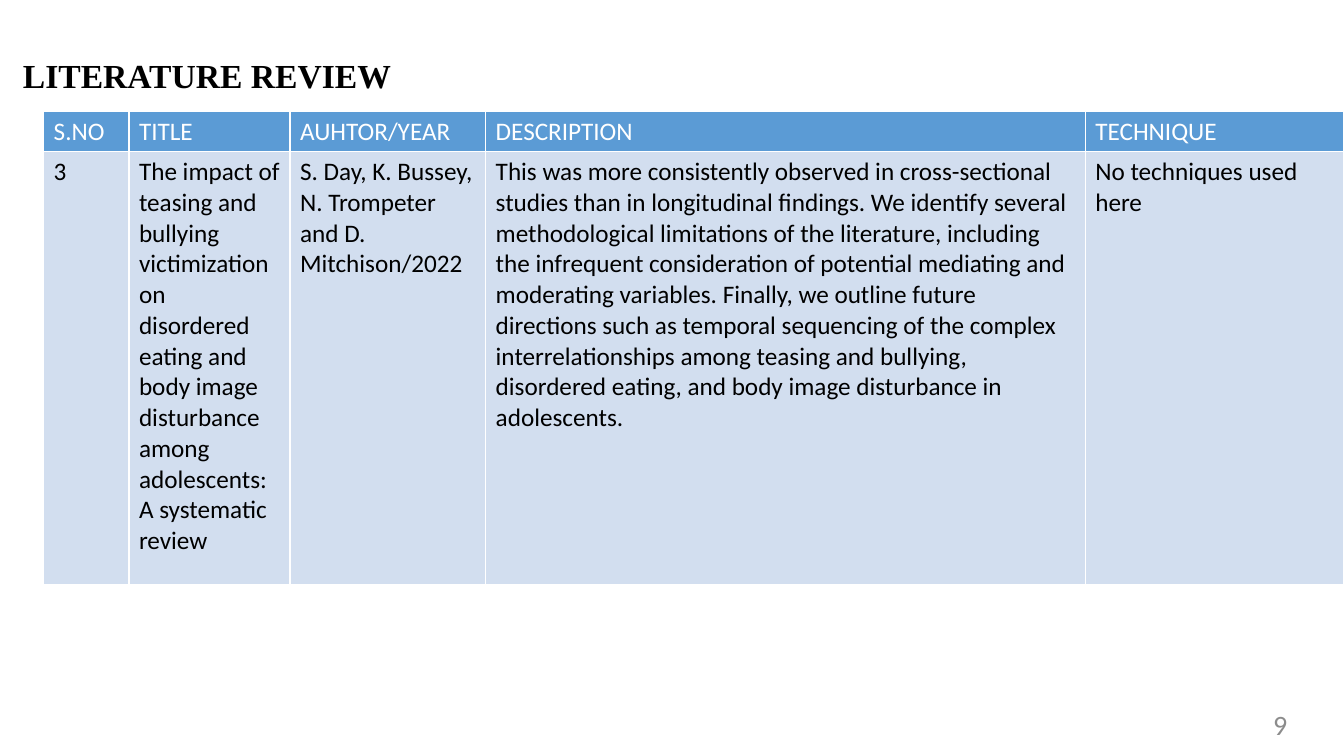
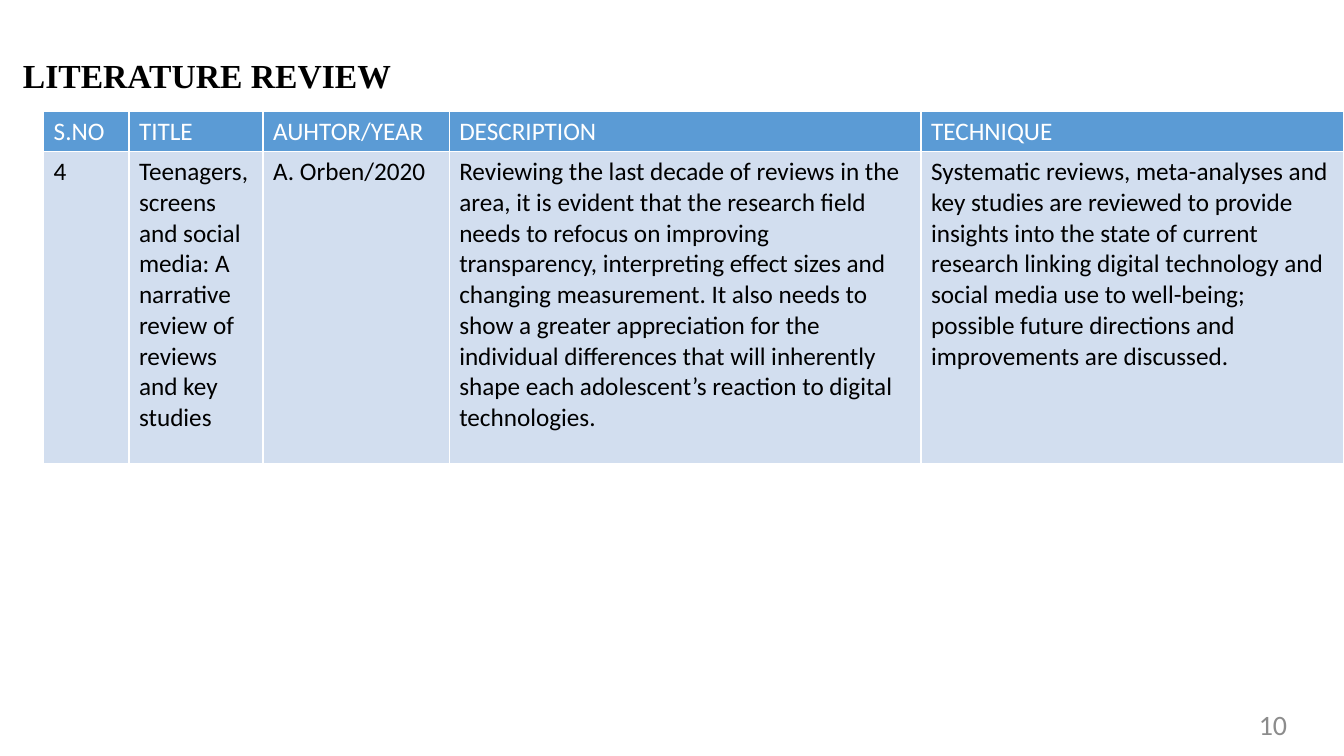
from dataclasses import dataclass

from lxml import etree
from pptx import Presentation
from pptx import util as u
from pptx.dml import color
from pptx.enum import text as t
from pptx.oxml import ns


@dataclass(frozen=True)
class Theme:
    head: str = "5B9BD5"
    body: str = "D2DEEF"
    white: str = "FFFFFF"
    ink: str = "000000"
    gray: str = "8C8C8C"
    sans: str = "Calibri"
    serif: str = "Times New Roman"
    title: int = 24
    cell: int = 18
    page: int = 20
    rule: int = 1


THEME = Theme()
WIDE, HIGH = u.Cm(33.87), u.Cm(19.05)
TITLE = (u.Cm(0.33), u.Cm(0.84), u.Cm(19.53), u.Cm(1.6))
PAGE = (u.Cm(29.06), u.Cm(17.73), u.Cm(3.63), u.Cm(1.02))
LEFT, TOP, HEAD = u.Cm(1.1), u.Cm(2.8), u.Cm(1.02)
NAMES = ["S.NO", "TITLE", "AUHTOR/YEAR", "DESCRIPTION", "TECHNIQUE"]

SLIDES = [
    {
        "page": "9",
        "cols": [2.15, 4.06, 4.93, 15.11],
        "high": 10.92,
        "row": [
            "3",
            "The impact of teasing and bullying victimization on disordered "
            "eating and body image disturbance among adolescents: "
            "A systematic review",
            "S. Day, K. Bussey, N. Trompeter and D. Mitchison/2022",
            "This was more consistently observed in cross-sectional studies "
            "than in longitudinal findings. We identify several "
            "methodological limitations of the literature, including the "
            "infrequent consideration of potential mediating and moderating "
            "variables. Finally, we outline future directions such as "
            "temporal sequencing of the complex interrelationships among "
            "teasing and bullying, disordered eating, and body image "
            "disturbance in adolescents.",
            "No techniques used here",
        ],
    },
    {
        "page": "10",
        "cols": [2.15, 3.38, 4.69, 11.89],
        "high": 7.87,
        "row": [
            "4",
            "Teenagers, screens and social media: A narrative review of "
            "reviews and key studies",
            "A. Orben/2020",
            "Reviewing the last decade of reviews in the area, it is evident "
            "that the research field needs to refocus on improving "
            "transparency, interpreting effect sizes and changing "
            "measurement. It also needs to show a greater appreciation for "
            "the individual differences that will inherently shape each "
            "adolescent’s reaction to digital technologies.",
            "Systematic reviews, meta-analyses and key studies are reviewed "
            "to provide insights into the state of current research linking "
            "digital technology and social media use to well-being; possible "
            "future directions and improvements are discussed.",
        ],
    },
]


def apply(item, form):
    for name, value in form.items():
        setattr(item, name, value)


def write(frame, words, font, tint, para=None):
    line = frame.paragraphs[0]
    apply(line, para or {})
    run = line.add_run()
    run.text = words
    apply(run.font, font)
    run.font.color.rgb = color.RGBColor.from_string(tint)


def label(slide, box, words, font, tint, para):
    frame = slide.shapes.add_textbox(*box).text_frame
    apply(frame, {"word_wrap": True, "vertical_anchor": t.MSO_ANCHOR.MIDDLE})
    write(frame, words, font, tint, para)


def border(cell):
    props = cell._tc.get_or_add_tcPr()
    for spot, side in enumerate(("lnL", "lnR", "lnT", "lnB")):
        line = etree.Element(ns.qn(f"a:{side}"), w=str(u.Pt(THEME.rule)))
        fill = etree.SubElement(line, ns.qn("a:solidFill"))
        etree.SubElement(fill, ns.qn("a:srgbClr"), val=THEME.white)
        props.insert(spot, line)


def grid(slide, box, cols, rows):
    left, top, width, height = box
    table = slide.shapes.add_table(len(rows), len(NAMES), *box).table
    apply(table, {"first_row": False, "horz_banding": False})
    sizes = [u.Cm(col) for col in cols]
    for col, size in zip(table.columns, sizes + [width - sum(sizes)]):
        col.width = size
    table.rows[0].height = HEAD
    table.rows[1].height = height - HEAD
    looks = [(THEME.head, THEME.white), (THEME.body, THEME.ink)]
    font = {"name": THEME.sans, "size": u.Pt(THEME.cell)}
    for row, texts, (back, tint) in zip(table.rows, rows, looks):
        for cell, words in zip(row.cells, texts):
            cell.fill.solid()
            cell.fill.fore_color.rgb = color.RGBColor.from_string(back)
            border(cell)
            write(cell.text_frame, words, font, tint)


def review(deck, data):
    slide = deck.slides.add_slide(deck.slide_layouts[6])
    label(slide, PAGE, data["page"],
          {"name": THEME.sans, "size": u.Pt(THEME.page)},
          THEME.gray, {"alignment": t.PP_ALIGN.RIGHT})
    label(slide, TITLE, "LITERATURE REVIEW",
          {"name": THEME.serif, "size": u.Pt(THEME.title), "bold": True},
          THEME.ink, {"line_spacing": 1.5})
    box = (LEFT, TOP, WIDE - LEFT, HEAD + u.Cm(data["high"]))
    grid(slide, box, data["cols"], [NAMES, data["row"]])


def main():
    deck = Presentation()
    apply(deck, {"slide_width": WIDE, "slide_height": HIGH})
    for data in SLIDES:
        review(deck, data)
    deck.save("out.pptx")


if __name__ == "__main__":
    main()
